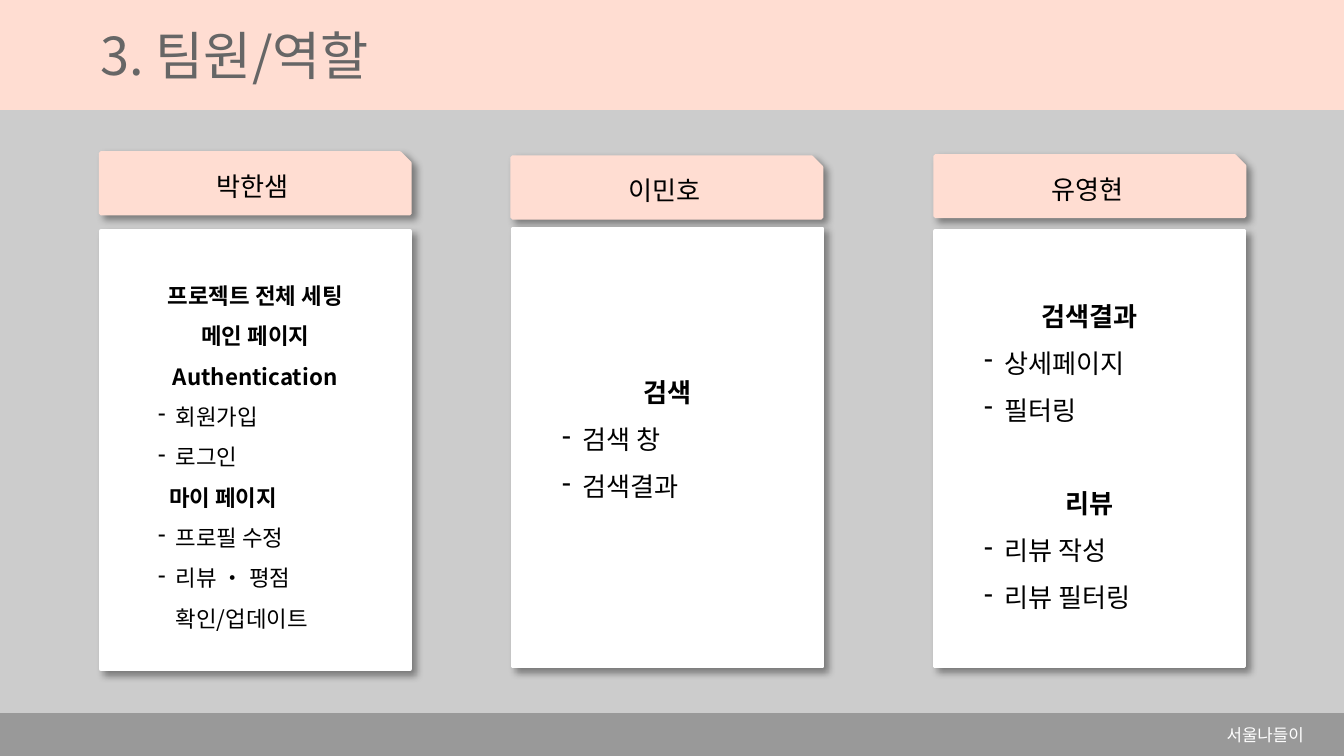
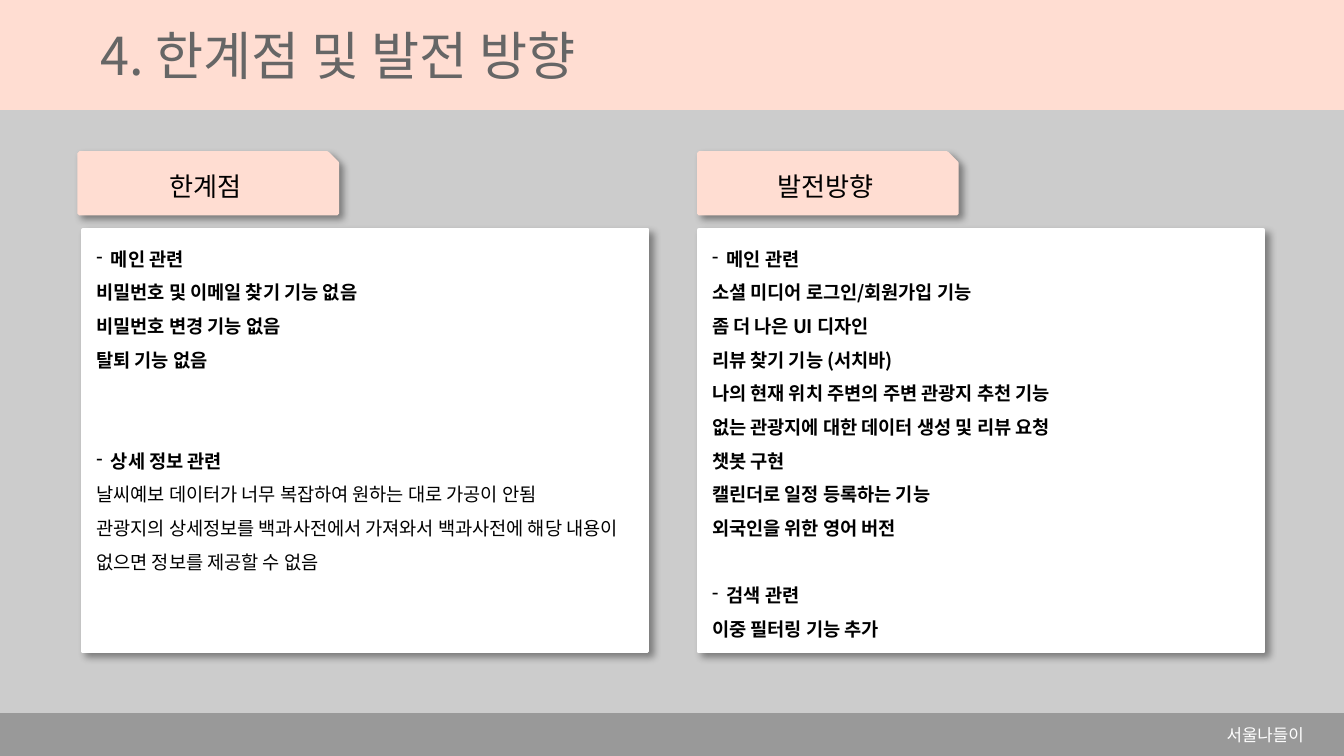
from lxml.etree import SubElement
from pptx import Presentation
from pptx.dml.color import RGBColor
from pptx.enum.shapes import MSO_SHAPE
from pptx.enum.text import MSO_ANCHOR, MSO_AUTO_SIZE, PP_ALIGN
from pptx.oxml.ns import qn
from pptx.util import Pt

FONT = "Noto Sans CJK KR"
PINK, GRAY, PALE_GRAY, DARK_GRAY = "FFDDD2", "999999", "CCCCCC", "666666"
WHITE, BLACK = "FFFFFF", "000000"
WIDTH, HEIGHT = 720, 405
TITLE_ONLY = 5

# Each line of a card: style, text and, where needed, the space before it.
SETUP = [
    ("heading", "프로젝트 전체 세팅"),
    ("heading", "메인 페이지"),
    ("heading", "Authentication"),
    ("item", "회원가입"),
    ("item", "로그인"),
    ("subheading", "마이 페이지"),
    ("item", "프로필 수정"),
    ("item", "리뷰 ・ 평점"),
    ("continued", "확인/업데이트"),
]
SEARCH = [("heading", "검색"), ("item", "검색 창"), ("item", "검색결과")]
RESULTS = [
    ("heading", "검색결과"),
    ("item", "상세페이지"),
    ("item", "필터링"),
    ("heading", "리뷰", 25),
    ("item", "리뷰 작성"),
    ("item", "리뷰 필터링"),
]
LIMITS = [
    ("topic", "메인 관련"),
    ("strong", "비밀번호 및 이메일 찾기 기능 없음"),
    ("strong", "비밀번호 변경 기능 없음"),
    ("strong", "탈퇴 기능 없음"),
    ("topic", "상세 정보 관련", 36),
    ("plain", "날씨예보 데이터가 너무 복잡하여 원하는 대로 가공이 안됨"),
    ("plain", "관광지의 상세정보를 백과사전에서 가져와서 백과사전에 "
              "해당 내용이 없으면 정보를 제공할 수 없음"),
]
PLANS = [
    ("topic", "메인 관련"),
    ("strong", "소셜 미디어 로그인/회원가입 기능"),
    ("strong", "좀 더 나은 UI 디자인"),
    ("strong", "리뷰 찾기 기능 (서치바)"),
    ("strong", "나의 현재 위치 주변의 주변 관광지 추천 기능"),
    ("strong", "없는 관광지에 대한 데이터 생성 및 리뷰 요청"),
    ("strong", "챗봇 구현"),
    ("strong", "캘린더로 일정 등록하는 기능"),
    ("strong", "외국인을 위한 영어 버전"),
    ("topic", "검색 관련", 18),
    ("strong", "이중 필터링 기능 추가"),
]


def color(value):
    return RGBColor.from_string(value)


def style_para(para, size, ink, bold=False, align=PP_ALIGN.LEFT):
    para.alignment = align
    font = para.font
    font.size, font.bold, font.name = Pt(size), bold, FONT
    font.color.rgb = color(ink)
    defaults = para._p.pPr.find(qn("a:defRPr"))
    SubElement(defaults, qn("a:ea"), typeface=FONT)


def indent_para(para, left, hanging=0):
    """Indent a paragraph; a hanging indent gets a dash bullet."""
    props = para._p.get_or_add_pPr()
    props.set("marL", str(Pt(left)))
    props.set("indent", str(-Pt(hanging)))
    if hanging:
        SubElement(props, qn("a:buChar"), char="-")


def add_box(page, kind, left, top, width, height, fill, line_width):
    box = page.shapes.add_shape(kind, Pt(left), Pt(top), Pt(width), Pt(height))
    box.shadow.inherit = False
    box.fill.solid()
    box.fill.fore_color.rgb = color(fill)
    box.line.color.rgb = color(fill)
    box.line.width = Pt(line_width)
    return box


def add_raised_box(page, kind, left, top, width, height, fill):
    box = add_box(page, kind, left, top, width, height, fill, 2)
    effects = box._element.spPr.find(qn("a:effectLst"))
    shadow = SubElement(effects, qn("a:outerShdw"), blurRad=str(Pt(4)), dist=str(Pt(3)),
                        dir=str(45 * 60000), algn="tl", rotWithShape="0")
    ink = SubElement(shadow, qn("a:srgbClr"), val=BLACK)
    SubElement(ink, qn("a:alpha"), val="40000")
    return box


def add_tab(page, text, left, top, width):
    box = add_raised_box(page, MSO_SHAPE.SNIP_1_RECTANGLE, left, top, width, 32.4, PINK)
    frame = box.text_frame
    frame.vertical_anchor = MSO_ANCHOR.MIDDLE
    frame.text = text
    style_para(frame.paragraphs[0], 14, BLACK, align=PP_ALIGN.CENTER)


def add_card(page, lines, place, size, anchor, item_left=30):
    box = add_raised_box(page, MSO_SHAPE.RECTANGLE, *place, WHITE)
    frame = box.text_frame
    frame.word_wrap = True
    frame.vertical_anchor = anchor
    hanging = round(size * 0.78, 1)
    indents = {
        "item": (item_left, hanging),
        "continued": (item_left, 0),
        "subheading": (item_left - 3.5, 0),
        "topic": (hanging, hanging),
    }
    for index, (style, text, *gap) in enumerate(lines):
        para = frame.add_paragraph() if index else frame.paragraphs[0]
        para.text = text
        para.line_spacing = 1.5
        if gap:
            para.space_before = Pt(gap[0])
        if style in indents:
            indent_para(para, *indents[style])
        bold = style in ("heading", "subheading", "topic", "strong")
        align = PP_ALIGN.CENTER if style == "heading" else PP_ALIGN.LEFT
        style_para(para, size, BLACK, bold, align)
    return box


def write_label(box, text, size, ink, left=0):
    """Fill a title or footer with one line of text, 0.1 inch inside its edges."""
    frame = box.text_frame
    frame.word_wrap = True
    frame.auto_size = MSO_AUTO_SIZE.NONE
    frame.vertical_anchor = MSO_ANCHOR.TOP
    frame.margin_left = frame.margin_right = Pt(7.2)
    frame.margin_top = frame.margin_bottom = Pt(7.2)
    frame.text = text
    indent_para(frame.paragraphs[0], left)
    style_para(frame.paragraphs[0], size, ink)


def add_page(deck, heading, heading_width):
    page = deck.slides.add_slide(deck.slide_layouts[TITLE_ONLY])
    page.background.fill.solid()
    page.background.fill.fore_color.rgb = color(PALE_GRAY)
    add_box(page, MSO_SHAPE.RECTANGLE, 0, 0, WIDTH, 58.5, PINK, 0.75)
    add_box(page, MSO_SHAPE.RECTANGLE, 0, 382.5, WIDTH, 22.5, GRAY, 0.75)

    title = page.shapes.title
    title.left, title.top = Pt(42.5), Pt(5)
    title.width, title.height = Pt(heading_width), Pt(48.5)
    write_label(title, heading, 28, DARK_GRAY, left=4.3)
    page.shapes.element.append(title.element)  # in front of the band

    footer = page.shapes.add_textbox(Pt(650), Pt(381), Pt(64), Pt(25))
    write_label(footer, "서울나들이", 9, WHITE)
    return page


def add_team_page(deck):
    page = add_page(deck, "3. 팀원/역할", 299)
    middle = MSO_ANCHOR.MIDDLE
    width = 165.6
    add_tab(page, "박한샘", 54, 82, width)
    add_card(page, SETUP, (54, 123.8, width, 234.7), 12, middle, item_left=33)
    add_tab(page, "이민호", 274.5, 84.2, width)
    search = add_card(page, SEARCH, (275, 122.4, width, 234.7), 14, middle)
    search.text_frame.margin_bottom = Pt(20.5)
    add_tab(page, "유영현", 501.1, 83.5, width)
    add_card(page, RESULTS, (501.1, 123.8, width, 233.3), 14, middle)


def add_outlook_page(deck):
    page = add_page(deck, "4. 한계점 및 발전 방향", 358)
    columns = [("한계점", LIMITS, 42.5, 44.6), ("발전방향", PLANS, 374.4, 374.4)]
    for name, lines, tab_left, card_left in columns:
        add_tab(page, name, tab_left, 82, 138.2)
        add_card(page, lines, (card_left, 123.1, 302.4, 226), 10, MSO_ANCHOR.TOP)


def main():
    deck = Presentation()
    deck.slide_width, deck.slide_height = Pt(WIDTH), Pt(HEIGHT)
    add_team_page(deck)
    add_outlook_page(deck)
    deck.save("out.pptx")


if __name__ == "__main__":
    main()
